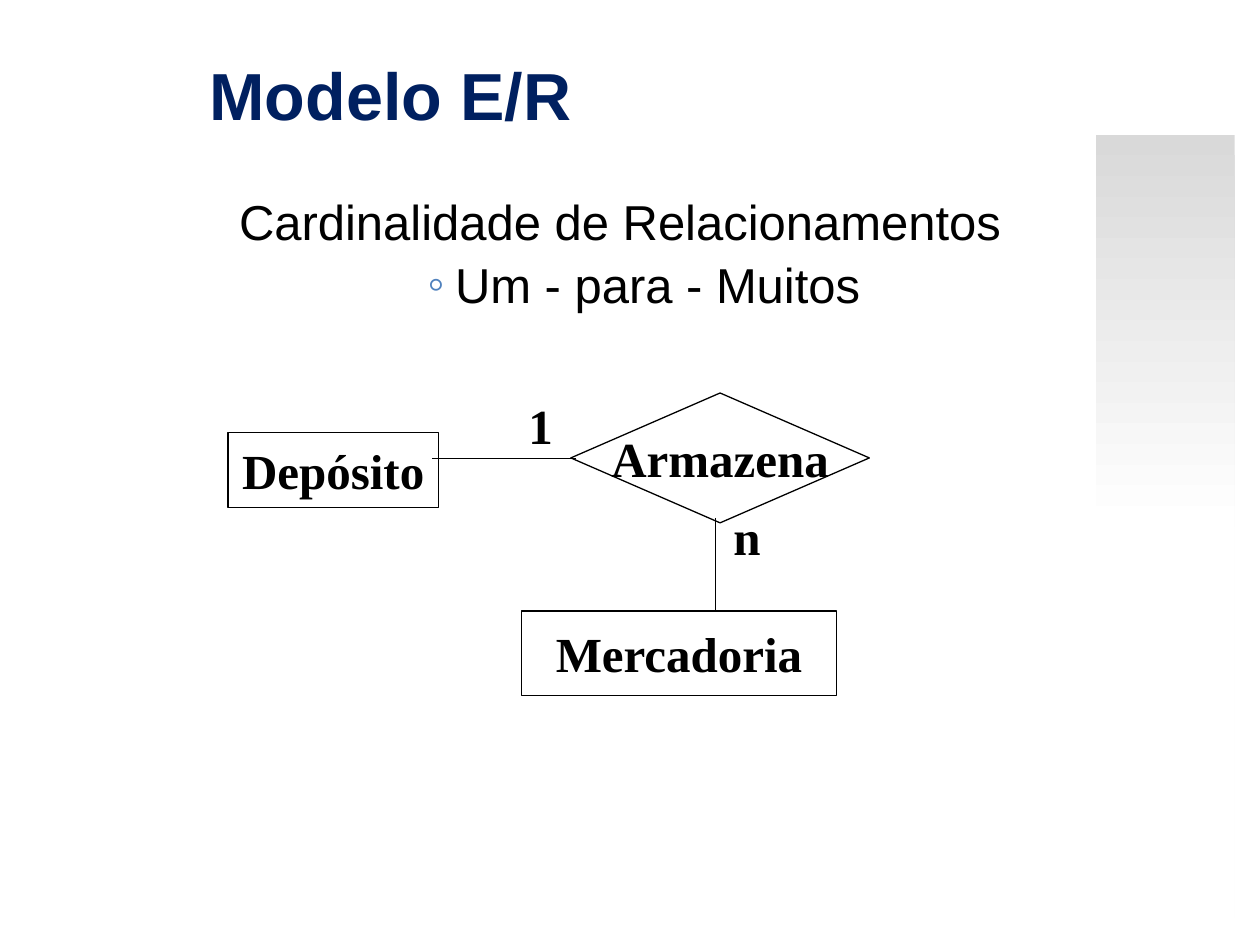
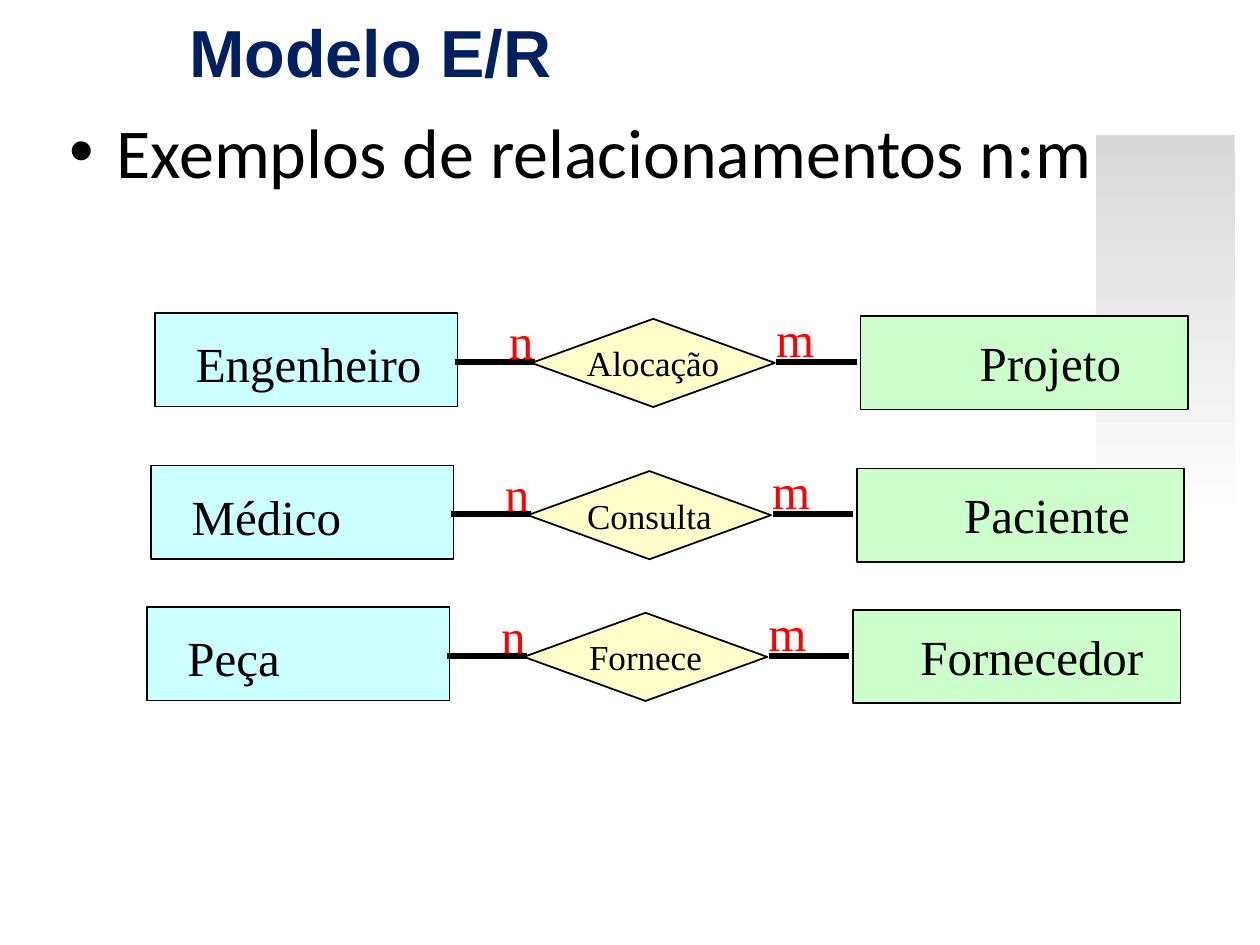
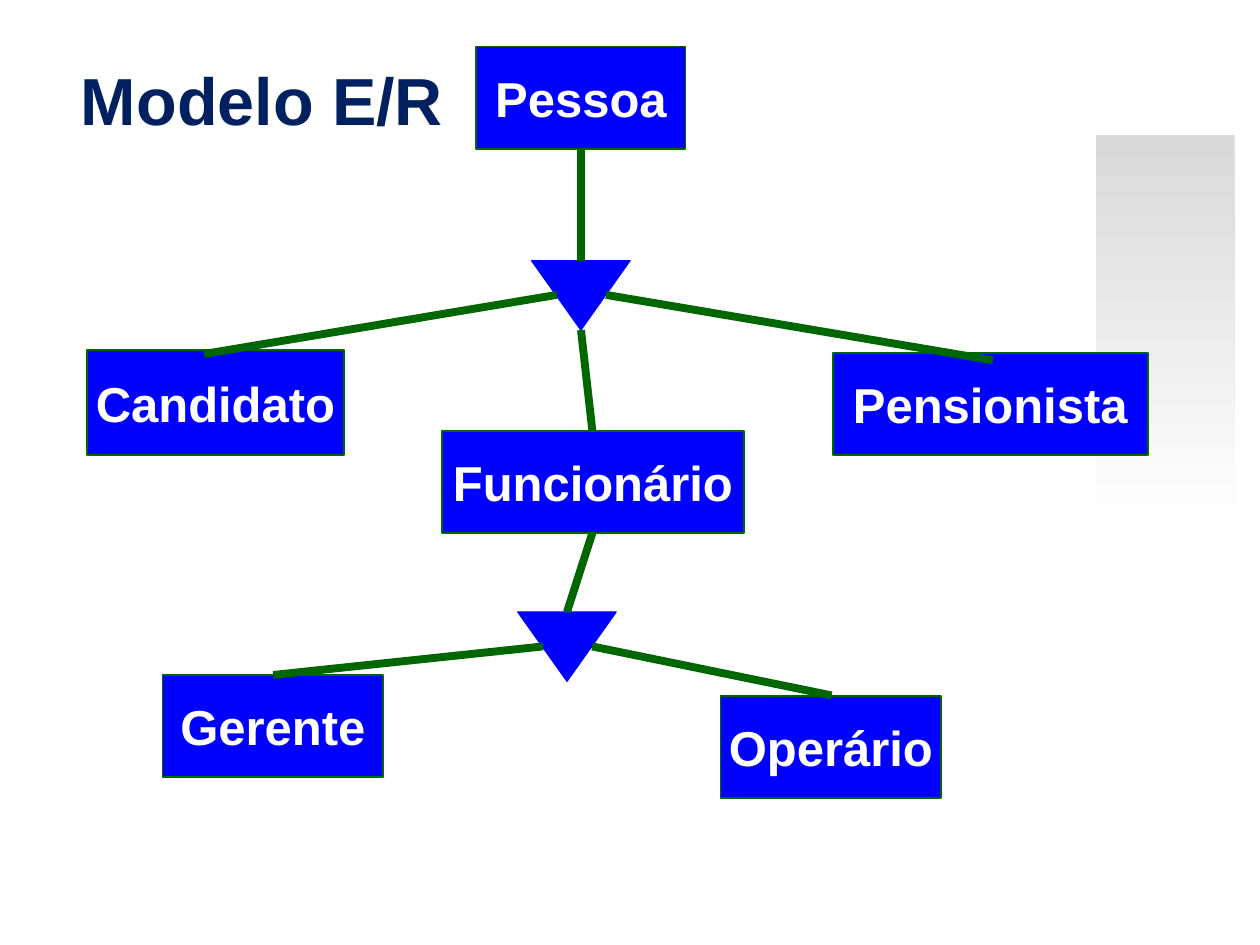
"""Build three slides on entity-relationship models."""
from copy import deepcopy
from dataclasses import dataclass
from typing import Optional

from lxml import etree
from pptx import Presentation
from pptx import util as u
from pptx.dml.color import RGBColor
from pptx.enum import shapes, text
from pptx.oxml import ns
from pptx.slide import Slide
from pptx.text.text import TextFrame

BLACK = RGBColor(0x00, 0x00, 0x00)
WHITE = RGBColor(0xFF, 0xFF, 0xFF)
NAVY = RGBColor(0x00, 0x20, 0x60)
GRAY = RGBColor(0xD9, 0xD9, 0xD9)
RED = RGBColor(0xFF, 0x00, 0x00)
BLUE = RGBColor(0x00, 0x00, 0xFF)
GREEN = RGBColor(0x00, 0x66, 0x00)
BULLET_BLUE = RGBColor(0x4F, 0x81, 0xBD)
PALE_CYAN = RGBColor(0xCC, 0xFF, 0xFF)
PALE_GREEN = RGBColor(0xCC, 0xFF, 0xCC)
PALE_YELLOW = RGBColor(0xFF, 0xFF, 0xCC)

SANS = "Arial"
SERIF = "Times New Roman"
BODY = "Calibri"

RECTANGLE = shapes.MSO_SHAPE.RECTANGLE
DIAMOND = shapes.MSO_SHAPE.DIAMOND
TRIANGLE = shapes.MSO_SHAPE.ISOSCELES_TRIANGLE
LEFT, CENTER, RIGHT = text.PP_ALIGN.LEFT, text.PP_ALIGN.CENTER, text.PP_ALIGN.RIGHT


@dataclass(frozen=True)
class Area:
    left: float
    top: float
    width: float
    height: float

    def moved(self, across: float, down: float) -> "Area":
        return Area(self.left + across, self.top + down, self.width, self.height)

    def lengths(self) -> tuple:
        return tuple(u.Pt(n) for n in (self.left, self.top, self.width, self.height))


@dataclass(frozen=True)
class Style:
    font: str
    size: float
    color: RGBColor
    bold: bool = False
    align: text.PP_ALIGN = CENTER


@dataclass(frozen=True)
class Look:
    fill: Optional[RGBColor]
    line: RGBColor
    weight: float


@dataclass(frozen=True)
class Line:
    x1: float
    y1: float
    x2: float
    y2: float

    def moved(self, across: float, down: float) -> "Line":
        return Line(self.x1 + across, self.y1 + down, self.x2 + across, self.y2 + down)


@dataclass(frozen=True)
class Relation:
    entity: str
    verb: str
    partner: str
    entity_width: float
    partner_center: float
    down: float


TITLE = Style(SANS, 38, NAVY, bold=True)
TOPIC = Style(SANS, 28, BLACK)
HEADING = Style(BODY, 40, BLACK, align=LEFT)
ER_LABEL = Style(SERIF, 28, BLACK, bold=True)
ENTITY = Style(SERIF, 28, BLACK)
VERB = Style(SERIF, 20, BLACK)
CARDINALITY = Style(SERIF, 28, RED, align=RIGHT)
CLASS_LABEL = Style(SANS, 28, WHITE, bold=True)

OUTLINE = Look(None, BLACK, 0.75)
CLASS_LOOK = Look(BLUE, GREEN, 1)
TRIANGLE_LOOK = Look(BLUE, BLUE, 0.75)


def write(frame: TextFrame, words: str, style: Style) -> None:
    frame.word_wrap = False
    para = frame.paragraphs[0]
    para.text = words
    format_paragraph(para, style)


def format_paragraph(para, style: Style) -> None:
    para.alignment = style.align
    para.font.name = style.font
    para.font.size = u.Pt(style.size)
    para.font.bold = style.bold
    para.font.color.rgb = style.color


def add_box(page: Slide, kind: shapes.MSO_SHAPE, area: Area, look: Look,
            words: str = "", style: Style = ENTITY):
    box = page.shapes.add_shape(kind, *area.lengths())
    box.shadow.inherit = False
    if look.fill is None:
        box.fill.background()
    else:
        box.fill.solid()
        box.fill.fore_color.rgb = look.fill
    box.line.color.rgb = look.line
    box.line.width = u.Pt(look.weight)
    if words:
        box.text_frame.vertical_anchor = text.MSO_ANCHOR.MIDDLE
        write(box.text_frame, words, style)
    return box


def add_label(page: Slide, area: Area, words: str, style: Style) -> None:
    write(page.shapes.add_textbox(*area.lengths()).text_frame, words, style)


def add_line(page: Slide, line: Line, color: RGBColor, weight: float) -> None:
    ends = (u.Pt(n) for n in (line.x1, line.y1, line.x2, line.y2))
    connector = page.shapes.add_connector(shapes.MSO_CONNECTOR.STRAIGHT, *ends)
    connector.line.color.rgb = color
    connector.line.width = u.Pt(weight)
    etree.SubElement(connector.element.spPr, ns.qn("a:effectLst"))


def place(placeholder, area: Area) -> None:
    placeholder.left, placeholder.top, placeholder.width, placeholder.height = area.lengths()
    placeholder.text_frame.auto_size = text.MSO_AUTO_SIZE.NONE


def add_page(deck, layout: int, left: float, top: float) -> Slide:
    page = deck.slides.add_slide(deck.slide_layouts[layout])
    title = page.shapes.title
    place(title, Area(left, top, 612, 90))
    title.text_frame.text = "Modelo E/R"
    format_paragraph(title.text_frame.paragraphs[0], TITLE)
    return page


def add_master_band(deck, page: Slide) -> None:
    band = page.shapes.add_shape(RECTANGLE, *Area(626.4, 77, 79.2, 447.8).lengths())
    band.shadow.inherit = False
    band.line.fill.background()
    band.fill.gradient()
    band.fill.gradient_angle = 270
    first, last = band.fill.gradient_stops
    first.color.rgb, last.color.rgb = GRAY, WHITE
    first.position, last.position = 0, 0.5
    stops = band.element.spPr.find(".//" + ns.qn("a:gsLst"))
    stops.append(deepcopy(stops[-1]))
    band.fill.gradient_stops[2].position = 1
    deck.slide_master.element.cSld.spTree.insert(2, band.element)


def add_topic(para, words: str, level: int, margin: float, bullet: str = "") -> None:
    para.text = words
    para.level = level
    properties = para._p.get_or_add_pPr()
    properties.set("marL", str(u.Pt(margin)))
    properties.set("indent", str(u.Pt(-15.84)))
    if bullet:
        color = etree.SubElement(properties, ns.qn("a:buClr"))
        etree.SubElement(color, ns.qn("a:srgbClr"), val=str(BULLET_BLUE))
        etree.SubElement(properties, ns.qn("a:buChar"), char=bullet)
    else:
        etree.SubElement(properties, ns.qn("a:buNone"))
    para.space_before = u.Pt(2.5 if level else 0)
    format_paragraph(para, TOPIC)


def build_one_to_many(deck) -> None:
    page = add_page(deck, 1, -82.8, 8.6)
    add_master_band(deck, page)
    body = page.placeholders[1]
    place(body, Area(48.2, 105.8, 612, 87))
    frame = body.text_frame
    add_topic(frame.paragraphs[0], "Cardinalidade de Relacionamentos", 0, 7.2)
    add_topic(frame.add_paragraph(), "Um - para - Muitos", 1, 43.2, "◦")
    add_label(page, Area(294.5, 222.5, 28.8, 41), "1", ER_LABEL)
    add_label(page, Area(411.8, 286, 30.2, 41), "n", ER_LABEL)
    for kind, area, words in (
        (RECTANGLE, Area(130.3, 247, 120.2, 43.2), "Depósito"),
        (RECTANGLE, Area(298, 349.2, 180, 48.2), "Mercadoria"),
        (DIAMOND, Area(326.2, 224.6, 170.6, 74.2), "Armazena"),
    ):
        add_box(page, kind, area, OUTLINE, words, ER_LABEL)
    for line in (Line(329, 262, 247, 262), Line(409, 296, 409, 349.2)):
        add_line(page, line, BLACK, 0.75)


def add_relation(page: Slide, row: int, relation: Relation) -> None:
    shift = (-2.2 * row, relation.down)
    add_box(page, RECTANGLE, Area(88.6, 179, 172.8, 53.3).moved(*shift),
            Look(PALE_CYAN, BLACK, 1))
    add_label(page, Area(103.7, 187.2, relation.entity_width, 41).moved(*shift),
              relation.entity, ENTITY)
    add_box(page, RECTANGLE, Area(491.8, 180.7, 187.2, 53.3).moved(*shift),
            Look(PALE_GREEN, BLACK, 1))
    add_label(page, Area(relation.partner_center - 72, 186.5 + relation.down, 144, 41),
              relation.partner, ENTITY)
    add_label(page, Area(283, 174.2, 28.8, 41).moved(*shift), "n", CARDINALITY)
    add_label(page, Area(435.6, 172.8, 36.7, 41).moved(*shift), "m", CARDINALITY)
    add_box(page, DIAMOND, Area(303.8, 182.2, 139, 50.4).moved(*shift),
            Look(PALE_YELLOW, BLACK, 1), relation.verb, VERB)
    for line in (Line(260, 206.8, 305.5, 206.8), Line(443.7, 206.8, 489.5, 206.8)):
        add_line(page, line.moved(*shift), BLACK, 3)


def build_many_to_many(deck) -> None:
    page = add_page(deck, 1, -94.3, -15.8)
    body = page.placeholders[1]
    place(body, Area(36.7, 59, 652.3, 324))
    frame = body.text_frame
    frame.margin_left = frame.margin_right = u.Pt(3)
    frame.margin_top = frame.margin_bottom = u.Pt(3)
    frame.text = "Exemplos de relacionamentos n:m"
    format_paragraph(frame.paragraphs[0], HEADING)
    relations = (
        Relation("Engenheiro", "Alocação", "Projeto", 145.4, 600.2, 0),
        Relation("Médico", "Consulta", "Paciente", 101.5, 598.3, 87),
        Relation("Peça", "Fornece", "Fornecedor", 68.4, 589.7, 168),
    )
    for row, relation in enumerate(relations):
        add_relation(page, row, relation)


def build_hierarchy(deck) -> None:
    page = add_page(deck, 5, -156.2, 11.5)
    for words, area in (
        ("Pessoa", Area(272.2, 26.6, 119.5, 58.5)),
        ("Candidato", Area(49.7, 200, 146.9, 60.2)),
        ("Funcionário", Area(252.7, 246.2, 172.3, 58.5)),
        ("Pensionista", Area(475.9, 201.6, 180, 58.5)),
        ("Gerente", Area(92.9, 385.7, 126, 58.5)),
        ("Operário", Area(411.8, 397.6, 126, 58.5)),
    ):
        add_box(page, RECTANGLE, area, CLASS_LOOK, words, CLASS_LABEL)
    for left, top in ((295.9, 349.7), (303.8, 149)):
        triangle = add_box(page, TRIANGLE, Area(left, top, 56.2, 39.6), TRIANGLE_LOOK)
        triangle.rotation = 180
    for line in (
        Line(332, 85.5, 332, 149),
        Line(318.2, 168.5, 116.6, 202.3),
        Line(332, 188.6, 338.5, 246.2),
        Line(346.3, 168.5, 567.4, 205.9),
        Line(338.5, 304.6, 324, 349.7),
        Line(310.3, 369.4, 156.2, 385.7),
        Line(338.4, 369.4, 475.2, 397.4),
    ):
        add_line(page, line, GREEN, 4.5)


def main() -> None:
    deck = Presentation()
    deck.slide_width, deck.slide_height = u.Pt(720), u.Pt(540)
    build_one_to_many(deck)
    build_many_to_many(deck)
    build_hierarchy(deck)
    deck.save("out.pptx")


if __name__ == "__main__":
    main()
